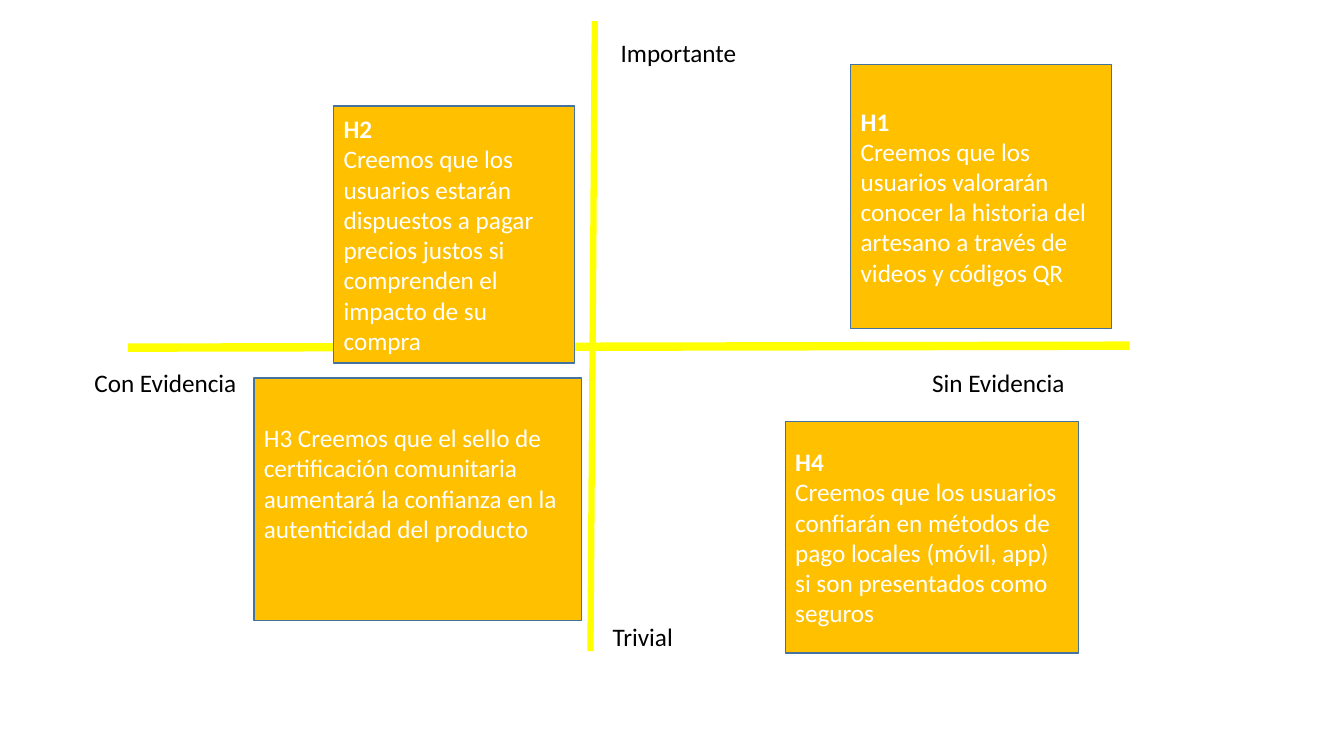
from pptx import Presentation
from pptx.dml.color import RGBColor
from pptx.enum.shapes import MSO_CONNECTOR, MSO_SHAPE
from pptx.enum.text import MSO_ANCHOR, PP_ALIGN
from pptx.oxml.ns import qn
from pptx.util import Cm, Pt
from lxml.etree import SubElement

COLORS = {"axis": "FFFF00", "card": "FFC000", "border": "43739E",
          "label": "000000", "card_text": "FFFFFF"}

# Start x, y, end x, y in cm, then width in points
AXES = [(3.23, 8.76, 28.47, 8.71, 6), (14.99, 0.53, 14.88, 16.41, 4.5)]

# Text, then left, top, width in cm
LABELS = [
    ("Con Evidencia", 2.13, 9.14, 5.38),
    ("Sin Evidencia", 23.24, 9.14, 4.78),
    ("Importante", 15.39, 0.81, 5.54),
    ("Trivial", 15.19, 15.52, 5.74),
]

# Heading, statement, box (left, top, width, height) and bottom inset in cm
CARDS = [
    ("H2", "Creemos que los usuarios estarán dispuestos a pagar precios justos "
     "si comprenden el impacto de su compra", (8.41, 2.67, 6.07, 6.48), 0.13),
    (None, "H3 Creemos que el sello de certificación comunitaria aumentará la "
     "confianza en la autenticidad del producto", (6.4, 9.53, 8.26, 6.1), 0.95),
    ("H4", "Creemos que los usuarios confiarán en métodos de pago locales "
     "(móvil, app) si son presentados como seguros",
     (19.79, 10.62, 7.39, 5.84), 0.13),
    ("H1", "Creemos que los usuarios valorarán conocer la historia del artesano "
     "a través de videos y códigos QR", (21.44, 1.63, 6.58, 6.65), 0.13),
]


def rgb(name):
    return RGBColor.from_string(COLORS[name])


def write(p, text, color, bold=False):
    p.alignment = PP_ALIGN.LEFT
    r = p.add_run()
    r.text = text
    for key, value in {"name": "Calibri", "size": Pt(18), "bold": bold}.items():
        setattr(r.font, key, value)
    r.font.color.rgb = rgb(color)


def add_axis(s, x1, y1, x2, y2, width):
    line = s.shapes.add_connector(
        MSO_CONNECTOR.STRAIGHT, Cm(x1), Cm(y1), Cm(x2), Cm(y2))
    line.line.color.rgb = rgb("axis")
    line.line.width = Pt(width)
    SubElement(line._element.spPr, qn("a:effectLst"))


def add_label(s, text, left, top, width):
    sp = s.shapes.add_textbox(Cm(left), Cm(top), Cm(width), Cm(1.02))
    tf = sp.text_frame
    tf.word_wrap = True
    write(tf.paragraphs[0], text, "label")


def add_card(s, heading, statement, box, bottom_inset):
    sp = s.shapes.add_shape(MSO_SHAPE.RECTANGLE, *map(Cm, box))
    sp.shadow.inherit = False
    sp.fill.solid()
    sp.fill.fore_color.rgb = rgb("card")
    sp.line.color.rgb = rgb("border")
    sp.line.width = Pt(1)
    tf = sp.text_frame
    layout = {"word_wrap": True, "vertical_anchor": MSO_ANCHOR.MIDDLE,
              "margin_bottom": Cm(bottom_inset)}
    for key, value in layout.items():
        setattr(tf, key, value)
    p = tf.paragraphs[0]
    if heading:
        write(p, heading, "card_text", bold=True)
        p = tf.add_paragraph()
    write(p, statement, "card_text")


def main():
    prs = Presentation()
    prs.slide_width, prs.slide_height = Cm(33.87), Cm(19.05)
    s = prs.slides.add_slide(prs.slide_layouts[6])
    for axis in AXES:
        add_axis(s, *axis)
    for label in LABELS:
        add_label(s, *label)
    for card in CARDS:
        add_card(s, *card)
    prs.save("out.pptx")


if __name__ == "__main__":
    main()
